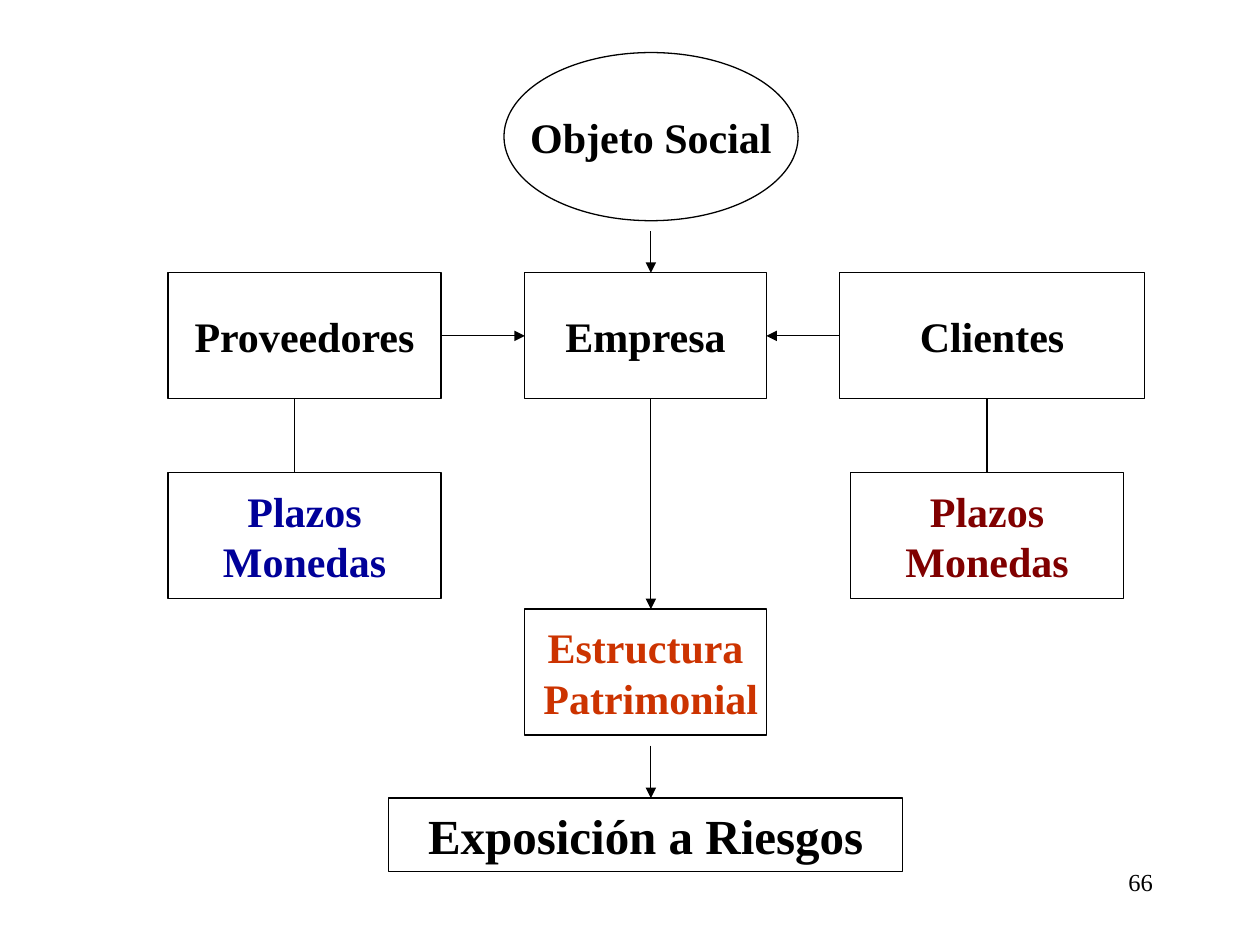
import pptx
import pptx.dml.color
import pptx.enum.shapes
import pptx.enum.text
import pptx.oxml
import pptx.oxml.ns
import pptx.util
from pptx.util import Cm

COLORS = {"black": "000000", "blue": "000099", "maroon": "800000", "orange": "CC3300"}
SHAPES = pptx.enum.shapes.MSO_SHAPE
ALIGN = pptx.enum.text.PP_ALIGN
TOP, LEFT, BOTTOM, RIGHT = range(4)


class Diagram:
    """Style and current page of a black-outlined flow diagram."""

    font_name = "Times New Roman"
    line_width = pptx.util.Pt(0.75)

    def __init__(self, page):
        self.page = page

    def color(self, name):
        return pptx.dml.color.RGBColor.from_string(COLORS[name])

    def fill_text(self, box, lines, size, color="black", bold=True, align=ALIGN.CENTER):
        frame = box.text_frame
        frame.text = "\n".join(lines)
        style = {"name": self.font_name, "size": pptx.util.Pt(size), "bold": bold}
        for para in frame.paragraphs:
            para.alignment = align
            for span in para.runs:
                for key, value in style.items():
                    setattr(span.font, key, value)
                span.font.color.rgb = self.color(color)

    def outline(self, element):
        element.line.color.rgb = self.color("black")
        element.line.width = self.line_width

    def node(self, lines, left, top, width, height, color="black", size=24,
             kind=SHAPES.RECTANGLE):
        box = self.page.shapes.add_shape(kind, Cm(left), Cm(top), Cm(width), Cm(height))
        box.shadow.inherit = False
        box.fill.background()
        self.outline(box)
        self.fill_text(box, lines, size, color)
        layout = {"word_wrap": False, "vertical_anchor": pptx.enum.text.MSO_ANCHOR.MIDDLE}
        for key, value in layout.items():
            setattr(box.text_frame, key, value)
        return box

    def link(self, start, end, arrow=True, begin_at=None, end_at=None):
        line = self.page.shapes.add_connector(
            pptx.enum.shapes.MSO_CONNECTOR.STRAIGHT, *map(Cm, start + end))
        self.outline(line)
        if begin_at:
            line.begin_connect(*begin_at)
        if end_at:
            line.end_connect(*end_at)
        namespace = pptx.oxml.ns.nsdecls("a")
        properties = line._element.spPr
        if arrow:
            properties.get_or_add_ln().append(
                pptx.oxml.parse_xml(f'<a:tailEnd {namespace} type="triangle"/>'))
        properties.append(pptx.oxml.parse_xml(f"<a:effectLst {namespace}/>"))

    def label(self, text, left, top, width, height, size, align):
        box = self.page.shapes.add_textbox(Cm(left), Cm(top), Cm(width), Cm(height))
        box.text_frame.word_wrap = True
        self.fill_text(box, [text], size, bold=False, align=align)


def main():
    deck = pptx.Presentation()
    deck.slide_width, deck.slide_height = Cm(25.4), Cm(19.05)
    diagram = Diagram(deck.slides.add_slide(deck.slide_layouts[6]))

    side_left, side_width = 3.39, 5.5
    center_left, center_width = 10.58, 4.87
    client_left, client_width = 16.93, 6.14
    row_top, terms_top, equity_top, risk_top = 5.5, 9.53, 12.28, 16.09
    height = 2.54
    row_middle, row_bottom = row_top + height / 2, row_top + height
    axis, supplier_axis, client_axis = 13.12, 5.93, 19.9
    terms = ["Plazos", "Monedas"]

    diagram.label("66", 18.2, 17.36, 5.29, 1.27, 14, ALIGN.RIGHT)
    diagram.node(["Objeto Social"], 10.16, 1.06, 5.93, 3.39, kind=SHAPES.OVAL)
    company = diagram.node(["Empresa"], center_left, row_top, center_width, height)
    suppliers = diagram.node(["Proveedores"], side_left, row_top, side_width, height)
    clients = diagram.node(["Clientes"], client_left, row_top, client_width, height)
    diagram.node(terms, side_left, terms_top, side_width, height, "blue")
    client_terms = diagram.node(terms, 17.15, terms_top, side_width, height, "maroon")
    diagram.node(["Estructura", " Patrimonial"], center_left, equity_top,
                 center_width, height, "orange")
    diagram.node(["Exposición a Riesgos"], 7.83, risk_top, 10.37, 1.48, size=28)

    diagram.link((side_left + side_width, row_middle), (center_left, row_middle),
                 begin_at=(suppliers, RIGHT), end_at=(company, LEFT))
    diagram.link((client_left, row_middle), (center_left + center_width, row_middle),
                 begin_at=(clients, LEFT), end_at=(company, RIGHT))
    diagram.link((supplier_axis, terms_top), (supplier_axis, row_bottom), arrow=False)
    diagram.link((client_axis, terms_top), (client_axis, row_bottom), arrow=False,
                 begin_at=(client_terms, TOP))
    for start, end in ((4.66, row_top), (row_bottom, equity_top), (15.03, risk_top)):
        diagram.link((axis, start), (axis, end))

    deck.save("out.pptx")


if __name__ == "__main__":
    main()
